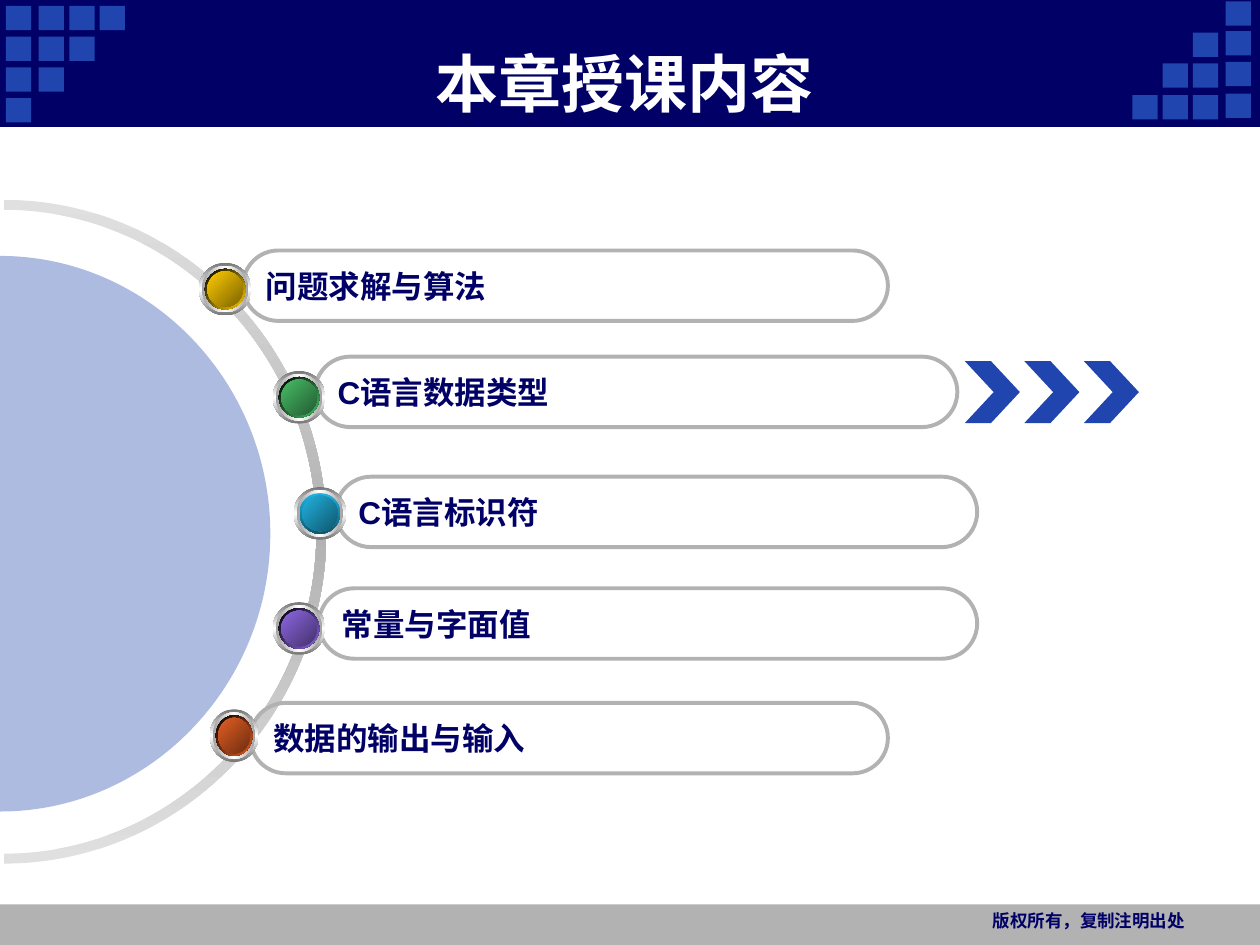
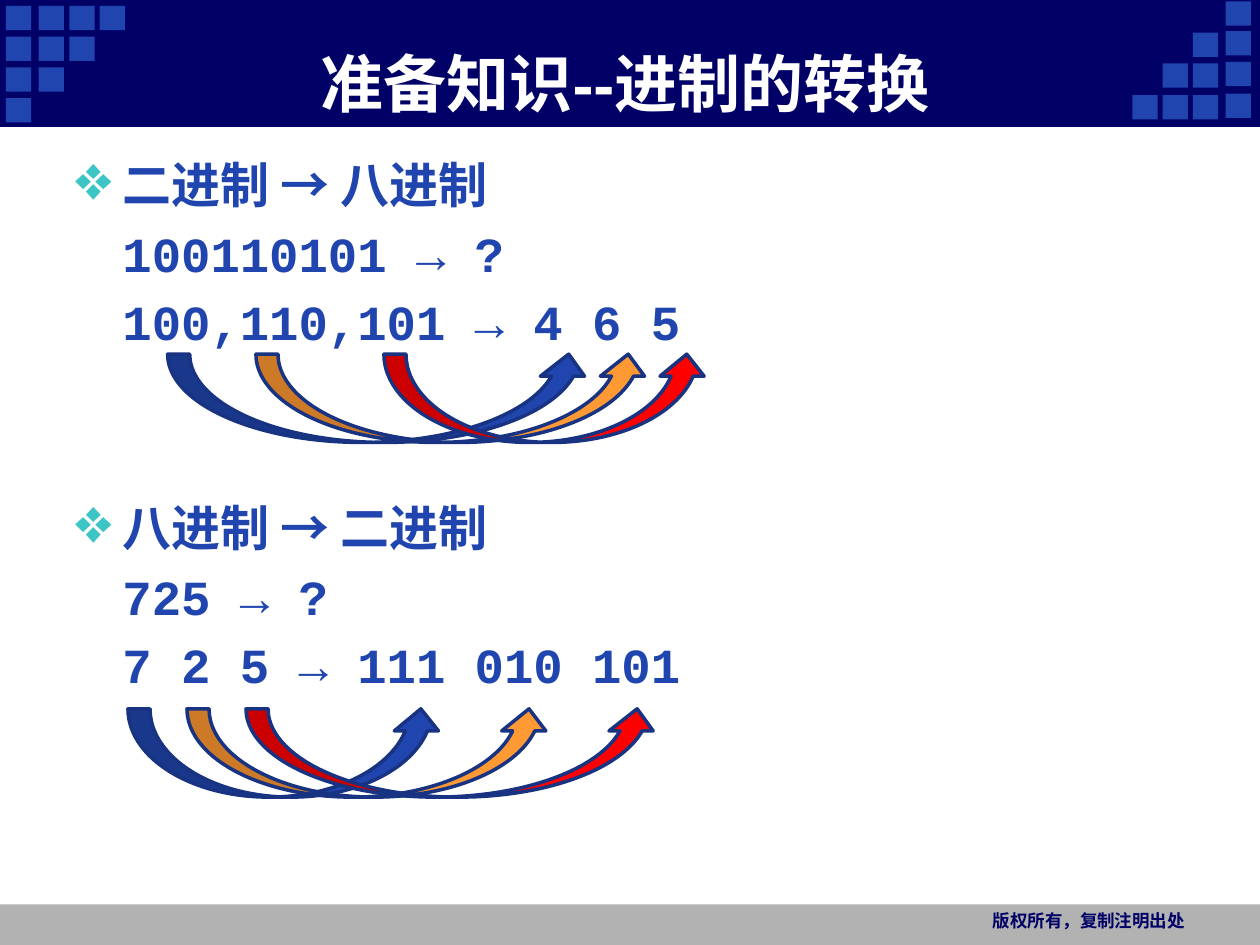
from dataclasses import dataclass

from lxml import etree
from pptx import Presentation
from pptx import util as u
from pptx.dml.color import RGBColor
from pptx.enum import shapes, text
from pptx.oxml.ns import qn

COLORS = {
    "navy": "000066", "blue": "2045AE", "outline": "183381", "teal": "3DC5C5",
    "gray": "B2B2B2", "pale": "E0E0E0", "white": "FFFFFF", "black": "000000",
    "rim": "767676", "inner_rim": "A2A2A2", "orange": "FF9933", "red": "FF0000",
    "gold": "FFCC00", "dark_gold": "7C6300", "green": "48BE67", "dark_green": "235C32",
    "cyan": "21B3E1", "dark_cyan": "10576D", "violet": "8D67E1", "dark_violet": "45326D",
    "rust": "E35E23", "dark_rust": "6E2E11",
}
SLIDE_WIDTH, SLIDE_HEIGHT = 25.4, 19.05
SHAPE = shapes.MSO_SHAPE
ARROW_COLORS = ("blue", "orange", "red")
QUARTER_HANDLE = 0.55  # handle length of a Bézier quarter circle of radius 1


@dataclass
class Topic:
    """A chapter entry; lengths in cm."""
    title: str
    left: float
    top: float
    width: float
    bead_left: float
    bead_top: float
    color: str
    bead_width: float = 1.06
    well: str = "black"
    well_angle: int = 45


@dataclass
class Conversion:
    """A base conversion example with arrows given as (left, width) in cm."""
    top: float
    heading: str
    lines: tuple[str, ...]
    arrow_top: float
    arrows: tuple[tuple[float, float], ...]


TOPICS = (
    Topic("问题求解与算法", 4.9, 5.05, 13, 4.01, 5.3, "gold"),
    Topic("C语言数据类型", 6.35, 7.19, 12.95, 5.5, 7.48, "green"),
    Topic("C语言标识符", 6.77, 9.61, 12.93, 5.92, 9.82, "cyan",
          well="cyan", well_angle=90),
    Topic("常量与字面值", 6.43, 11.86, 13.27, 5.5, 12.14, "violet"),
    Topic("数据的输出与输入", 5.05, 14.17, 12.85, 4.23, 14.3, "rust", bead_width=0.98),
)
CONVERSIONS = (
    Conversion(3, "二进制 → 八进制", ("100110101 → ?", "100,110,101 → 4 6 5"),
               7.14, ((3.38, 8.53), (5.16, 7.95), (7.74, 6.55))),
    Conversion(9.91, "八进制 → 二进制", ("725 → ?", "7 2 5 → 111 010 101"),
               14.29, ((2.58, 6.35), (3.77, 7.34), (4.96, 8.33))),
)


def rgb(name: str) -> RGBColor:
    return RGBColor.from_string(COLORS[name])


def paint(shape, fill: str | None = None, line: str | None = None, width: float = 0.75) -> None:
    shape.shadow.inherit = False
    if fill:
        shape.fill.solid()
        shape.fill.fore_color.rgb = rgb(fill)
    else:
        shape.fill.background()
    if line:
        shape.line.color.rgb = rgb(line)
        shape.line.width = u.Pt(width)
    else:
        shape.line.fill.background()


def add_preset(page, kind, left: float, top: float, width: float, height: float,
               fill: str | None = None, line: str | None = None, line_width: float = 0.75):
    shape = page.shapes.add_shape(kind, u.Cm(left), u.Cm(top), u.Cm(width), u.Cm(height))
    paint(shape, fill, line, line_width)
    return shape


def paint_gradient(shape, names: tuple[str, ...], angle: int) -> None:
    """Spread the named colours evenly, with the angle clockwise in degrees."""
    shape.fill.gradient()
    gradient = shape.fill._xPr.find(qn("a:gradFill"))
    stops = gradient.find(qn("a:gsLst"))
    for stop in list(stops):
        stops.remove(stop)
    for index, name in enumerate(names):
        position = 100000 * index // (len(names) - 1)
        stop = etree.SubElement(stops, qn("a:gs"), pos=str(position))
        etree.SubElement(stop, qn("a:srgbClr"), val=COLORS[name])
    gradient.find(qn("a:lin")).set("ang", str(angle * 60000))


def style(para, font: str, size: float, color: str) -> None:
    para.font.name = font
    para.font.size = u.Pt(size)
    para.font.bold = True
    para.font.color.rgb = rgb(color)


def add_text_box(page, left: float, top: float, width: float, height: float):
    box = page.shapes.add_textbox(u.Cm(left), u.Cm(top), u.Cm(width), u.Cm(height))
    box.text_frame.word_wrap = True
    return box.text_frame


def add_square(page, left: float, top: float) -> None:
    add_preset(page, SHAPE.RECTANGLE, left, top, 0.51, 0.49, "blue")


def start_page(deck, title: str):
    """Add a page with the bands, corner squares, title and footer."""
    page = deck.slides.add_slide(deck.slide_layouts[6])
    add_preset(page, SHAPE.RECTANGLE, 0, 18.23, SLIDE_WIDTH, 0.82, "gray")
    add_preset(page, SHAPE.RECTANGLE, 0, 0, SLIDE_WIDTH, 2.54, "navy", "navy")
    for row, right_top in enumerate((0.03, 0.63, 1.25, 1.89)):
        for left in (0.12, 0.78, 1.4, 2.01)[:4 - row]:
            add_square(page, left, 0.12 + 0.62 * row)
        add_square(page, 24.71, right_top)
        for left in (24.05, 23.44, 22.83)[:row]:
            add_square(page, left, right_top + 0.03)

    frame = add_text_box(page, 2.34, 0.87, 20.52, 1.57)
    frame.vertical_anchor = text.MSO_ANCHOR.MIDDLE
    para = frame.paragraphs[0]
    para.text = title
    para.alignment = text.PP_ALIGN.CENTER
    style(para, "Arial", 36, "white")

    para = add_text_box(page, 19.3, 18.23, 4.83, 0.82).paragraphs[0]
    para.text = "版权所有，复制注明出处"
    para.alignment = text.PP_ALIGN.RIGHT
    style(para, "Courier New", 10, "navy")
    return page


def right_half(left: float, middle: float, radius_x: float,
               radius_y: float) -> list[tuple[int, int]]:
    """Start, handles and ends of two Bézier quarters, from top to bottom."""
    handle = QUARTER_HANDLE
    unit_points = ((0, -1), (handle, -1), (1, -handle), (1, 0),
                   (1, handle), (handle, 1), (0, 1))
    return [(u.Cm(left + radius_x * x), u.Cm(middle + radius_y * y)) for x, y in unit_points]


def add_curved_outline(page, *halves: list[tuple[int, int]]):
    """Join half ellipses by straight lines into one closed outline."""
    points = [point for half in halves for point in half]
    builder = page.shapes.build_freeform(*points[0], scale=1.0)
    builder.add_line_segments(points[1:], close=True)
    shape = builder.convert_to_shape()
    outline = next(shape._element.iter(qn("a:path")))
    nodes = list(outline)
    for half_start in range(0, len(points), 7):
        for first in (half_start + 1, half_start + 4):
            curve = etree.Element(qn("a:cubicBezTo"))
            nodes[first].addprevious(curve)
            for node in nodes[first:first + 3]:
                curve.append(node[0])
                outline.remove(node)
    return shape


def add_dial(page) -> None:
    """Draw the half ring and the translucent half disc."""
    outer = right_half(0.08, 10.72, 6.5, 6.69)
    inner = right_half(0.08, 10.72, 6.3, 6.49)
    ring = add_curved_outline(page, outer, inner[::-1])
    paint(ring)
    paint_gradient(ring, ("pale", "gray", "pale"), 90)

    disc = add_curved_outline(page, right_half(0, 10.76, 5.45, 5.6))
    paint(disc, "blue")
    color = disc.fill._xPr.find(qn("a:solidFill")).find(qn("a:srgbClr"))
    etree.SubElement(color, qn("a:alpha"), val="36000")


def add_pill(page, topic: Topic) -> None:
    pill = add_preset(page, SHAPE.ROUNDED_RECTANGLE, topic.left, topic.top,
                      topic.width, 1.42, line="gray", line_width=2.25)
    pill.adjustments[0] = 0.5
    frame = pill.text_frame
    frame.vertical_anchor = text.MSO_ANCHOR.MIDDLE
    para = frame.paragraphs[0]
    para.text = topic.title
    para.alignment = text.PP_ALIGN.LEFT
    style(para, "Arial", 18, "navy")


def add_bead(page, topic: Topic) -> None:
    layers = (
        (0, ("rim", "white", "rim"), 90),
        (0.06, ("inner_rim", "white", "inner_rim"), 0),
        (0.12, (topic.well, "dark_cyan" if topic.well == "cyan" else topic.color),
         topic.well_angle),
        (0.17, (topic.color, "dark_" + topic.color), 45),
    )
    for inset, names, angle in layers:
        circle = add_preset(page, SHAPE.OVAL, topic.bead_left + inset, topic.bead_top + inset,
                            topic.bead_width - 2 * inset, 1.06 - 2 * inset)
        paint_gradient(circle, names, angle)


def build_contents(deck) -> None:
    page = start_page(deck, "本章授课内容")
    add_dial(page)
    for topic in reversed(TOPICS):
        add_pill(page, topic)
    for topic in TOPICS:
        add_bead(page, topic)
    for index in range(3):
        chevron = add_preset(page, SHAPE.CHEVRON, 19.45 + 1.2 * index, 7.28, 1.11, 1.25, "blue")
        chevron.adjustments[0] = 0.525


def indent(para, bulleted: bool) -> None:
    properties = para._p.get_or_add_pPr()
    properties.set("marL", str(u.Cm(0.95)))
    properties.set("indent", str(u.Cm(-0.95 if bulleted else 0)))
    if bulleted:
        color = etree.SubElement(properties, qn("a:buClr"))
        etree.SubElement(color, qn("a:srgbClr"), val=COLORS["teal"])
        etree.SubElement(properties, qn("a:buSzPct"), val="130000")
        etree.SubElement(properties, qn("a:buChar"), char="❖")


def add_conversion(page, conversion: Conversion) -> None:
    frame = add_text_box(page, 1.27, conversion.top, 22.86, 4.5)
    for index, line in enumerate((conversion.heading, *conversion.lines)):
        para = frame.add_paragraph() if index else frame.paragraphs[0]
        para.text = line
        indent(para, bulleted=index == 0)
        if index:
            para.space_before = u.Pt(5.4)
        style(para, "Courier New", 28, "blue")
    for (left, width), color in zip(conversion.arrows, ARROW_COLORS):
        add_preset(page, SHAPE.CURVED_UP_ARROW, left, conversion.arrow_top, width, 1.78,
                   color, "outline", 2)


def build_conversions(deck) -> None:
    page = start_page(deck, "准备知识--进制的转换")
    for conversion in CONVERSIONS:
        add_conversion(page, conversion)


def main() -> None:
    deck = Presentation()
    deck.slide_width, deck.slide_height = u.Cm(SLIDE_WIDTH), u.Cm(SLIDE_HEIGHT)
    build_contents(deck)
    build_conversions(deck)
    deck.save("out.pptx")


if __name__ == "__main__":
    main()
